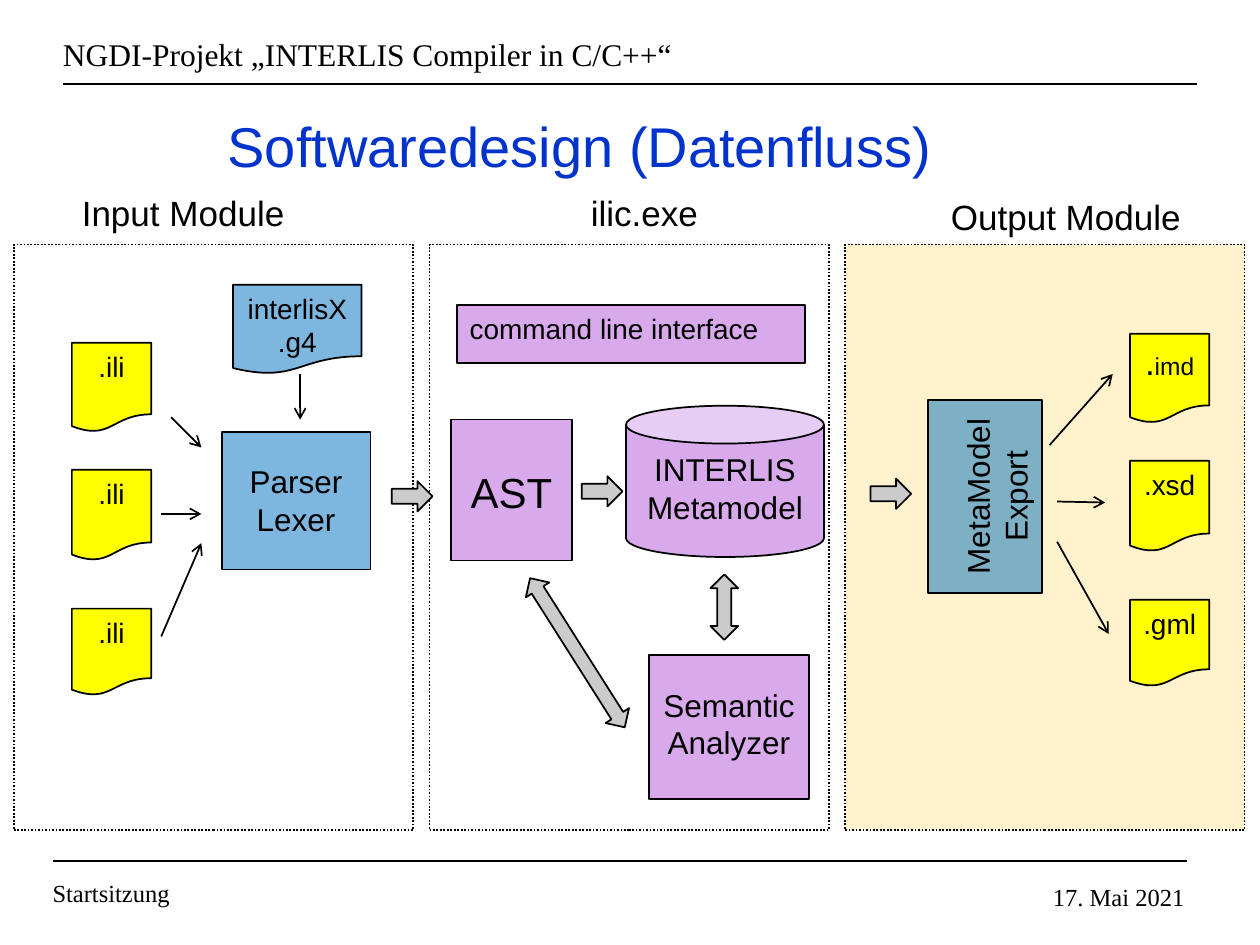
"""Build the data flow slide of the compiler's software design."""
from lxml import etree
from pptx import Presentation
from pptx.dml.color import RGBColor
from pptx.enum.dml import MSO_LINE
from pptx.enum.shapes import MSO_CONNECTOR, MSO_SHAPE
from pptx.enum.text import MSO_ANCHOR, MSO_AUTO_SIZE, PP_ALIGN
from pptx.oxml.ns import qn
from pptx.util import Cm, Pt

RECT, DOC, CAN = MSO_SHAPE.RECTANGLE, MSO_SHAPE.FLOWCHART_DOCUMENT, MSO_SHAPE.CAN
RIGHT, BOTH = MSO_SHAPE.RIGHT_ARROW, MSO_SHAPE.LEFT_RIGHT_ARROW
LEFT, MID, END = PP_ALIGN.LEFT, PP_ALIGN.CENTER, PP_ALIGN.RIGHT

THEME = {
    "sans": "Arial", "serif": "Times New Roman",
    "ink": "000000", "title": "0033CC", "blue": ("0070C0", 51),
    "cream": ("FFC000", 20), "violet": ("D8AAEC", 100),
    "yellow": ("FFFF00", 100), "gray": ("CBCBCB", 100),
    "h1": 32, "big": 24, "h2": 20, "body": 18, "small": 16, "foot": 14,
}

TITLE = ("Softwaredesign (Datenfluss)", (4.34, 2.11, 14.71, 1.63))
FRAME = [
    ("NGDI-Projekt „INTERLIS Compiler in C/C++“", (1.02, 0.58, 23.32, 1.02), "body", LEFT),
    ("Startsitzung", (0.81, 17.58, 11.05, 0.84), "foot", LEFT),
    ("17. Mai 2021", (18.85, 17.65, 5.28, 0.84), "foot", END),
]
RULES = [(1.27, 1.7, 24.13, 1.7), (1.07, 17.35, 23.93, 17.35)]
LABELS = [
    ("Input Module", (1.4, 3.73, 4.6, 1.12)),
    ("ilic.exe", (11.66, 3.73, 2.67, 1.12)),
    ("Output Module", (18.92, 3.81, 5.13, 1.12)),
]
PANELS = [None, None, "cream"]
BOXES = [
    (RECT, ["Parser", "Lexer"], (4.47, 8.71, 3, 2.77), "blue", "body", MID, 0.61, 0),
    (RECT, ["AST"], (9.09, 8.46, 2.44, 2.84), "violet", "big", MID, 0.94, 0),
    (RECT, ["MetaModel", "Export"], (17.91, 8.86, 3.89, 2.29), "blue", "body", MID, 0.61, 270),
    (DOC, ["interlisX.g4"], (4.7, 5.74, 2.59, 1.8), "blue", "small", MID, 0.13, 0),
    (CAN, ["INTERLIS", "Metamodel"], (12.62, 8.18, 3.99, 3.05), "violet", "body", MID, 0.13, 0),
    (RECT, ["Semantic", "Analyzer"], (13.08, 13.21, 3.23, 2.9), "violet", "body", MID, 0.61, 0),
    (RECT, ["command line interface"], (9.22, 6.15, 7.01, 1.17), "violet", "small", LEFT, 0.13, 0),
]
FILES = [
    (1.45, 0, [".ili", ".ili", ".ili"]),
    (22.78, -0.18, [".imd", ".xsd", ".gml"]),
]
ROWS = [(6.91, 1.8), (9.47, 1.83), (12.27, 1.75)]
BLOCKS = [
    (RIGHT, (7.9, 9.7, 0.82, 0.61), 0),
    (RIGHT, (11.73, 9.6, 0.82, 0.61), 0),
    (RIGHT, (17.55, 9.65, 0.82, 0.61), 0),
    (BOTH, (9.86, 12.88, 3.56, 0.56), 57.6),
    (BOTH, (13.94, 11.96, 1.32, 0.56), 90),
]
ARROWS = [
    (3.45, 8.41, 4.06, 9.02), (3.25, 10.36, 4.06, 10.36), (3.25, 12.83, 4.06, 10.95),
    (6.05, 7.54, 6.05, 8.46),
    (21.31, 10.92, 22.35, 12.78), (21.31, 10.11, 22.28, 10.13), (21.16, 8.97, 22.43, 7.54),
]


def cms(box):
    return [Cm(v) for v in box]


def write(shape, lines, size, align=LEFT, face="sans", color="ink", wrap=True, top=0.13):
    frame = shape.text_frame
    frame.auto_size = MSO_AUTO_SIZE.NONE
    frame.word_wrap = wrap
    frame.vertical_anchor = MSO_ANCHOR.TOP
    frame.margin_left = frame.margin_right = Cm(0.25)
    frame.margin_top, frame.margin_bottom = Cm(top), Cm(0.13)
    frame.text = "\n".join(lines)
    for para in frame.paragraphs:
        para.alignment = align
        para.font.name = THEME[face]
        para.font.size = Pt(THEME[size])
        para.font.color.rgb = RGBColor.from_string(THEME[color])


def label(slide, text, box, size, align=LEFT, face="sans", wrap=True):
    write(slide.shapes.add_textbox(*cms(box)), [text], size, align, face, wrap=wrap)


def draw(slide, kind, box, fill=None, turn=0):
    shape = slide.shapes.add_shape(kind, *cms(box))
    shape.shadow.inherit = False
    shape.rotation = turn
    shape.line.color.rgb = RGBColor.from_string(THEME["ink"])
    shape.line.width = Pt(1)
    if fill is None:
        shape.fill.background()
        return shape
    color, alpha = THEME[fill]
    shape.fill.solid()
    shape.fill.fore_color.rgb = RGBColor.from_string(color)
    if alpha < 100:
        node = shape.element.spPr.find(qn("a:solidFill"))[0]
        etree.SubElement(node, qn("a:alpha"), val=str(alpha * 1000))
    return shape


def link(slide, ends, head=False):
    line = slide.shapes.add_connector(MSO_CONNECTOR.STRAIGHT, *cms(ends))
    line.line.color.rgb = RGBColor.from_string(THEME["ink"])
    line.line.width = Pt(1)
    props = line.element.spPr
    if head:
        etree.SubElement(props.find(qn("a:ln")), qn("a:tailEnd"), type="arrow")
    etree.SubElement(props, qn("a:effectLst"))


def main():
    deck = Presentation()
    deck.slide_width, deck.slide_height = Cm(25.4), Cm(19.05)
    slide = deck.slides.add_slide(deck.slide_layouts[5])

    text, box = TITLE
    title = slide.shapes.title
    title.left, title.top, title.width, title.height = cms(box)
    write(title, [text], "h1", color="title", wrap=False)

    for text, box, size, align in FRAME:
        label(slide, text, box, size, align, "serif")
    for ends in RULES:
        link(slide, ends)
    for col, fill in enumerate(PANELS):
        panel = draw(slide, RECT, (0.28 + col * 8.38, 4.93, 8.05, 11.81), fill)
        panel.line.dash_style = MSO_LINE.ROUND_DOT
    for text, box in LABELS:
        label(slide, text, box, "h2", wrap=False)

    for kind, lines, box, fill, size, align, top, turn in BOXES:
        write(draw(slide, kind, box, fill, turn), lines, size, align, top=top)
    for left, shift, names in FILES:
        for name, (top, high) in zip(names, ROWS):
            shape = draw(slide, DOC, (left, top + shift, 1.6, high), "yellow")
            if name == ".imd":
                write(shape, [name[0]], "h2", MID)
                run = shape.text_frame.paragraphs[0].add_run()
                run.text = name[1:]
                run.font.size = Pt(THEME["foot"])
            else:
                write(shape, [name], "small", MID)

    for kind, box, turn in BLOCKS:
        draw(slide, kind, box, "gray", turn)
    for ends in ARROWS:
        link(slide, ends, True)
    deck.save("out.pptx")


if __name__ == "__main__":
    main()
